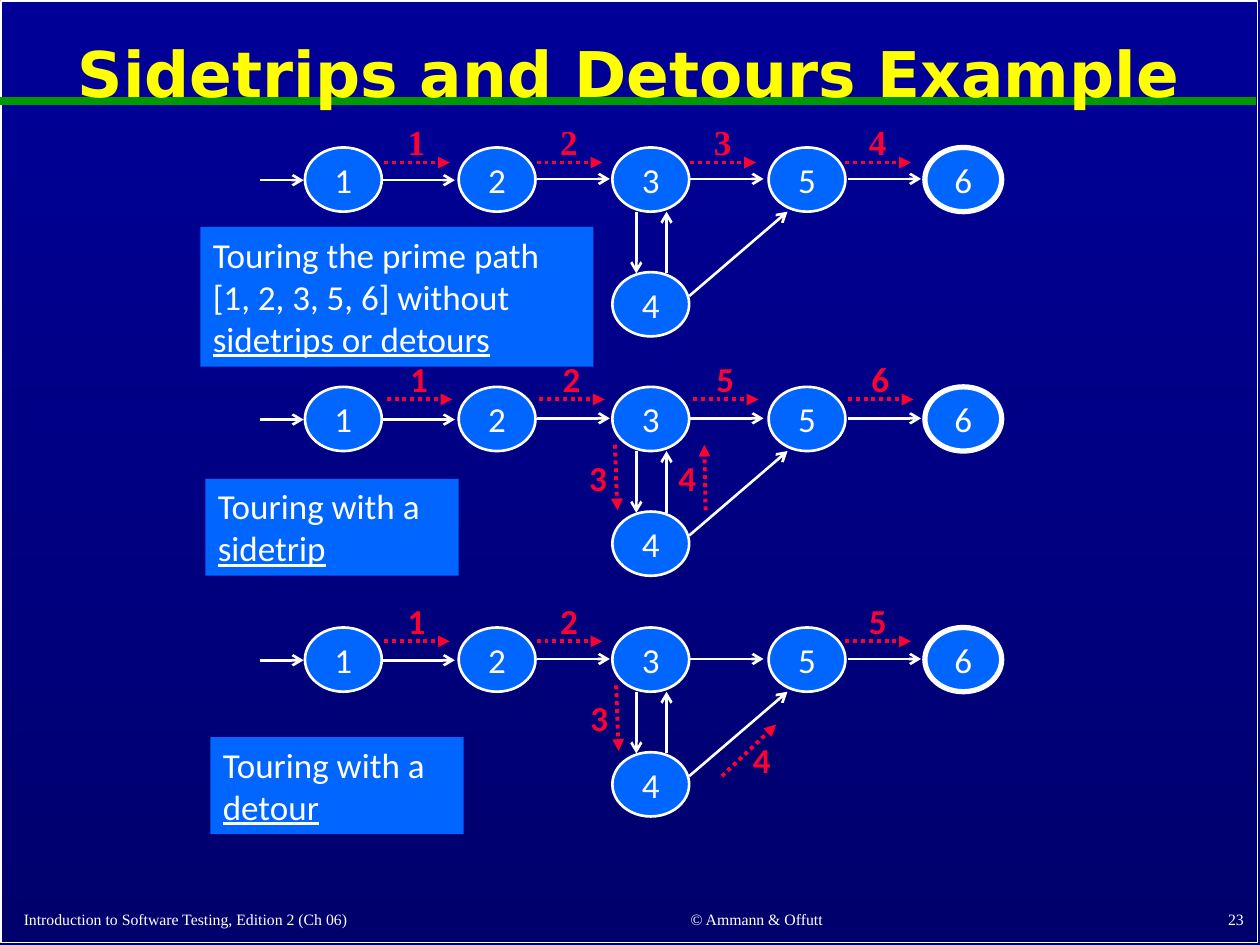
from dataclasses import dataclass

from lxml.etree import SubElement
from pptx import Presentation as Deck
from pptx.dml.color import RGBColor
from pptx.enum.dml import MSO_LINE as Dash
from pptx.enum.shapes import MSO_CONNECTOR as Link, MSO_SHAPE as Form
from pptx.enum.text import MSO_ANCHOR as Anchor, PP_ALIGN as Align
from pptx.oxml.ns import qn
from pptx.util import Inches, Pt

WHITE, BLUE, RED = "FFFFFF", "0066FF", "FF0033"
SANS, SERIF = "Calibri", "Times New Roman"
NODE_W, NODE_H, DROP = 0.61, 0.51, 0.99
NODES = {"1": (2.42, 0), "2": (3.64, 0), "3": (4.86, 0),
         "5": (6.1, 0), "6": (7.34, 0), "4": (4.86, DROP)}
EDGES = [(2.06, 0.26, 2.41, 0.26), (3.03, 0.26, 3.61, 0.26),
         (4.26, 0.25, 4.84, 0.25), (5.48, 0.25, 6.06, 0.25),
         (6.73, 0.25, 7.31, 0.25), (5.05, 0.51, 5.05, 1),
         (5.29, 1, 5.29, 0.51), (5.47, 1.18, 6.25, 0.51)]
STARTS = [3.05, 4.26, 5.48, 6.71]
STEP = 0.52


@dataclass
class Box:
    left: float
    top: float
    width: float
    height: float


@dataclass
class Mark:
    text: str
    ends: tuple[float, float, float, float]
    left: float
    top: float


@dataclass
class Graph:
    top: float
    font: str
    shift: float
    rise: float
    steps: list[str]
    marks: list[Mark]
    note: Box
    lead: str
    key: str


GRAPHS = [
    Graph(1.17, SERIF, 0, 0.12, ["1", "2", "3", "4"], [],
          Box(1.59, 1.8, 3.12, 1.11),
          "Touring the prime path [1, 2, 3, 5, 6] without ",
          "sidetrips or detours"),
    Graph(3.07, SANS, 0.02, 0.1, ["1", "2", "5", "6"],
          [Mark("3", (4.88, 3.53, 4.9, 4.05), 4.55, 3.57),
           Mark("4", (5.6, 4.05, 5.59, 3.53), 5.26, 3.57)],
          Box(1.63, 3.8, 2.01, 0.77), "Touring with a ", "sidetrip"),
    Graph(4.98, SANS, 0, 0.11, ["1", "2", "", "5"],
          [Mark("3", (4.89, 5.44, 4.91, 5.96), 4.56, 5.48),
           Mark("4", (5.73, 6.16, 6.16, 5.75), 5.85, 5.81)],
          Box(1.67, 5.85, 2.01, 0.77), "Touring with a ", "detour"),
]


def tint(color, code: str) -> None:
    color.rgb = RGBColor.from_string(code)


def place(box: Box) -> list:
    return [Inches(v) for v in (box.left, box.top, box.width, box.height)]


def add_run(para, text: str, code: str, **look) -> None:
    run = para.add_run()
    run.text = text
    for name, value in look.items():
        setattr(run.font, name, value)
    tint(run.font.color, code)


def add_text(slide, box: Box, text: str, code: str, align=Align.CENTER,
             anchor=Anchor.TOP, **look):
    frame = slide.shapes.add_textbox(*place(box)).text_frame
    frame.word_wrap = True
    frame.vertical_anchor = anchor
    para = frame.paragraphs[0]
    para.alignment = align
    add_run(para, text, code, **look)
    return para


def add_form(slide, form, box: Box, fill: str = "", line: str = "",
             width: float = 1):
    shape = slide.shapes.add_shape(form, *place(box))
    shape.shadow.inherit = False
    if fill:
        shape.fill.solid()
        tint(shape.fill.fore_color, fill)
    else:
        shape.fill.background()
    if line:
        tint(shape.line.color, line)
        shape.line.width = Pt(width)
    else:
        shape.line.fill.background()
    return shape


def add_line(slide, ends: tuple, code: str, width: float,
             head: str = "", dash=None) -> None:
    link = slide.shapes.add_connector(
        Link.STRAIGHT, *[Inches(v) for v in ends])
    tint(link.line.color, code)
    link.line.width = Pt(width)
    if dash:
        link.line.dash_style = dash
    props = link._element.spPr
    if head:
        SubElement(props.find(qn("a:ln")), qn("a:tailEnd"), type=head)
    SubElement(props, qn("a:effectLst"))


def add_node(slide, text: str, left: float, top: float) -> None:
    node = add_form(slide, Form.OVAL, Box(left, top, NODE_W, NODE_H),
                    BLUE, WHITE, 3 if text == "6" else 1.5)
    frame = node.text_frame
    for side in ("left", "right", "top", "bottom"):
        setattr(frame, f"margin_{side}", 0)
    frame.word_wrap = False
    frame.vertical_anchor = Anchor.MIDDLE
    para = frame.paragraphs[0]
    para.alignment = Align.CENTER
    add_run(para, text, WHITE, size=Pt(20), name=SANS)


def add_mark(slide, mark: Mark, font: str) -> None:
    add_line(slide, mark.ends, RED, 2.25, "triangle", Dash.ROUND_DOT)
    add_text(slide, Box(mark.left, mark.top, 0.39, 0.43), mark.text, RED,
             size=Pt(20), name=font, bold=True)


def add_note(slide, graph: Graph) -> None:
    frame = add_form(slide, Form.RECTANGLE, graph.note, BLUE).text_frame
    frame.word_wrap = True
    frame.vertical_anchor = Anchor.TOP
    para = frame.paragraphs[0]
    para.alignment = Align.LEFT
    look = {"size": Pt(20), "name": SANS}
    add_run(para, graph.lead, WHITE, **look)
    add_run(para, graph.key, WHITE, underline=True, **look)


def add_graph(slide, graph: Graph) -> None:
    for text, (left, down) in NODES.items():
        add_node(slide, text, left, graph.top + down)
    for x1, y1, x2, y2 in EDGES:
        add_line(slide, (x1, graph.top + y1, x2, graph.top + y2),
                 WHITE, 1.5, "arrow")
    add_note(slide, graph)
    y = graph.top + graph.rise
    steps = [Mark(text, (x, y, x + STEP, y), x + 0.06, y - 0.38)
             for text, x in zip(graph.steps, [s + graph.shift for s in STARTS])
             if text]
    for mark in steps + graph.marks:
        add_mark(slide, mark, graph.font)


def main() -> None:
    deck = Deck()
    deck.slide_width, deck.slide_height = Inches(10), Inches(7.5)
    slide = deck.slides.add_slide(deck.slide_layouts[6])
    fill = slide.background.fill
    fill.gradient()
    fill.gradient_angle = 270
    for stop, code in zip(fill.gradient_stops, ("000099", "00006D")):
        tint(stop.color, code)
    add_form(slide, Form.RECTANGLE, Box(0.01, 0.01, 9.97, 7.47), line=WHITE)
    add_line(slide, (0, 0.8, 9.97, 0.8), "009900", 4.5)
    for box, text, align in (
        (Box(0.09, 7.12, 4.12, 0.3),
         "Introduction to Software Testing, Edition 2 (Ch 06)", Align.LEFT),
        (Box(4.42, 7.11, 3.17, 0.31), "© Ammann & Offutt", Align.CENTER),
        (Box(7.89, 7.1, 2.08, 0.32), "23", Align.RIGHT),
    ):
        add_text(slide, box, text, WHITE, align, Anchor.BOTTOM,
                 size=Pt(9), name=SERIF)
    title = add_text(slide, Box(0.09, 0.11, 9.8, 1),
                     "Sidetrips and Detours Example", "FFFF00",
                     anchor=Anchor.MIDDLE, size=Pt(36),
                     name="DejaVu Sans", bold=True)
    title.line_spacing = 0.9
    for graph in GRAPHS:
        add_graph(slide, graph)
    deck.save("out.pptx")


if __name__ == "__main__":
    main()
